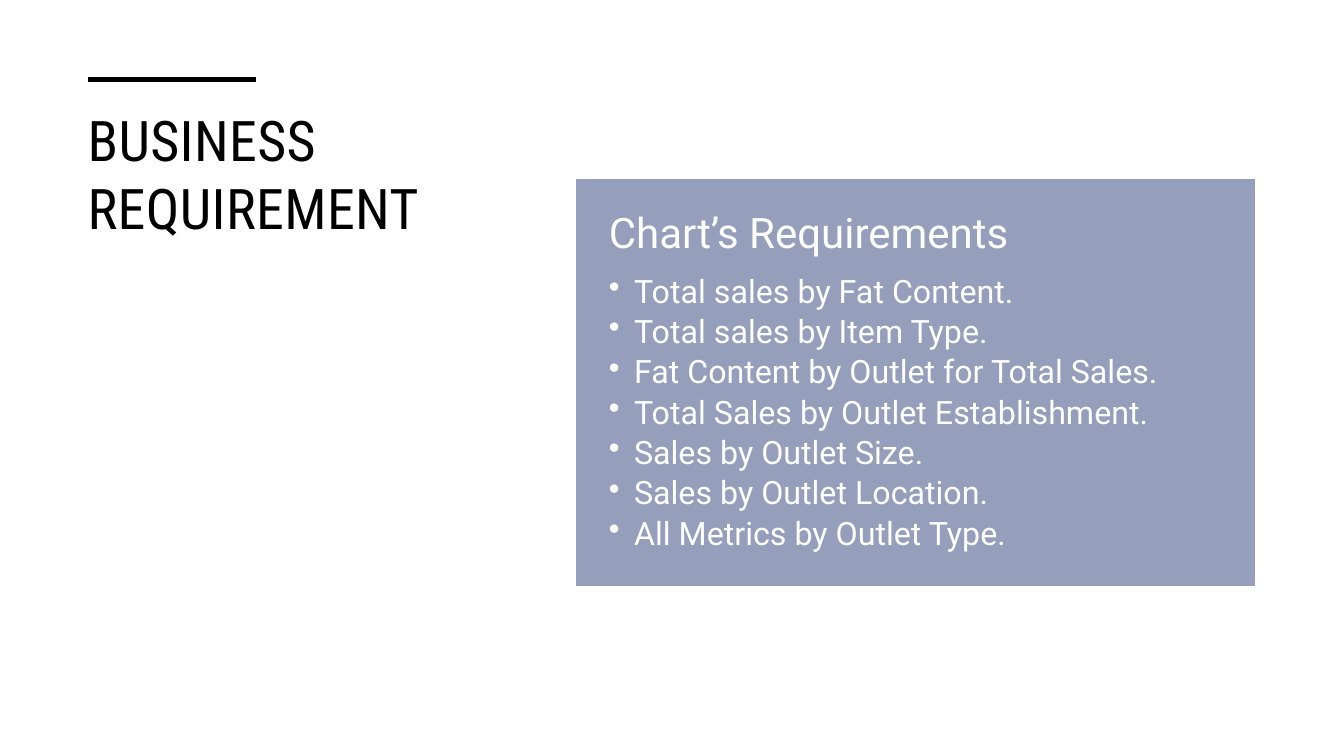
import pptx
import pptx.util
import pptx.dml.color
import pptx.enum.shapes
import pptx.enum.text
import pptx.oxml.xmlchemy

Pt = pptx.util.Pt
Anchor = pptx.enum.text.MSO_ANCHOR
Align = pptx.enum.text.PP_ALIGN
Element = pptx.oxml.xmlchemy.OxmlElement

COLORS = {"ink": "000000", "panel": "959EBB", "white": "FFFFFF"}
HEAD = "Chart’s Requirements"
ITEMS = [
    "Total sales by Fat Content.",
    "Total sales by Item Type.",
    "Fat Content by Outlet for Total Sales.",
    "Total Sales by Outlet Establishment.",
    "Sales by Outlet Size.",
    "Sales by Outlet Location.",
    "All Metrics by Outlet Type.",
]


def color(name):
    return pptx.dml.color.RGBColor.from_string(COLORS[name])


def add_run(para, text, font, size, tint):
    run = para.add_run()
    run.text = text
    run.font.name = font
    run.font.size = Pt(size)
    run.font.color.rgb = color(tint)
    return run


def set_title(slide, text):
    title = slide.shapes.title
    title.left, title.top = Pt(55.4), Pt(72)
    title.width, title.height = Pt(308.2), Pt(313.2)
    frame = title.text_frame
    frame.word_wrap = True
    frame.auto_size = pptx.enum.text.MSO_AUTO_SIZE.NONE
    frame.vertical_anchor = Anchor.TOP
    para = frame.paragraphs[0]
    para.alignment = Align.LEFT
    run = add_run(para, text, "Roboto Condensed", 40, "ink")
    run._r.get_or_add_rPr().set("spc", "30")


def add_rule(slide, left, top, width):
    rule = slide.shapes.add_connector(
        pptx.enum.shapes.MSO_CONNECTOR.STRAIGHT,
        Pt(left), Pt(top), Pt(left + width), Pt(top))
    rule.line.color.rgb = color("ink")
    rule.line.width = Pt(3.5)
    rule._element.spPr.append(Element("a:effectLst"))


def add_panel(slide, left, top, width, height):
    panel = slide.shapes.add_shape(
        pptx.enum.shapes.MSO_SHAPE.RECTANGLE,
        Pt(left), Pt(top), Pt(width), Pt(height))
    panel.shadow.inherit = False
    panel.fill.solid()
    panel.fill.fore_color.rgb = color("panel")
    panel.line.color.rgb = color("white")
    panel.line.width = Pt(1)
    frame = panel.text_frame
    frame.word_wrap = True
    frame.vertical_anchor = Anchor.MIDDLE
    frame.margin_left = frame.margin_right = Pt(23.8)
    frame.margin_top = frame.margin_bottom = Pt(25.2)
    return frame


def fill_para(para, text, size, after):
    para.alignment = Align.LEFT
    para.line_spacing = 0.9
    para.space_after = Pt(after)
    add_run(para, text, "Roboto", size, "white")


def add_bullet(para):
    props = para._p.get_or_add_pPr()
    props.set("marL", str(int(Pt(18))))
    props.set("indent", str(int(Pt(-18))))
    mark = Element("a:buChar")
    mark.set("char", "•")
    props.append(mark)


def main():
    deck = pptx.Presentation()
    deck.slide_width, deck.slide_height = Pt(960), Pt(540)
    slide = deck.slides.add_slide(deck.slide_layouts[5])
    set_title(slide, "BUSINESS REQUIREMENT")
    add_rule(slide, 63.2, 56.9, 119.8)
    frame = add_panel(slide, 411.1, 127.4, 486, 291.6)
    fill_para(frame.paragraphs[0], HEAD, 30, 12.3)
    for item in ITEMS:
        para = frame.add_paragraph()
        fill_para(para, item, 23, 4)
        add_bullet(para)
    deck.save("out.pptx")


if __name__ == "__main__":
    main()
